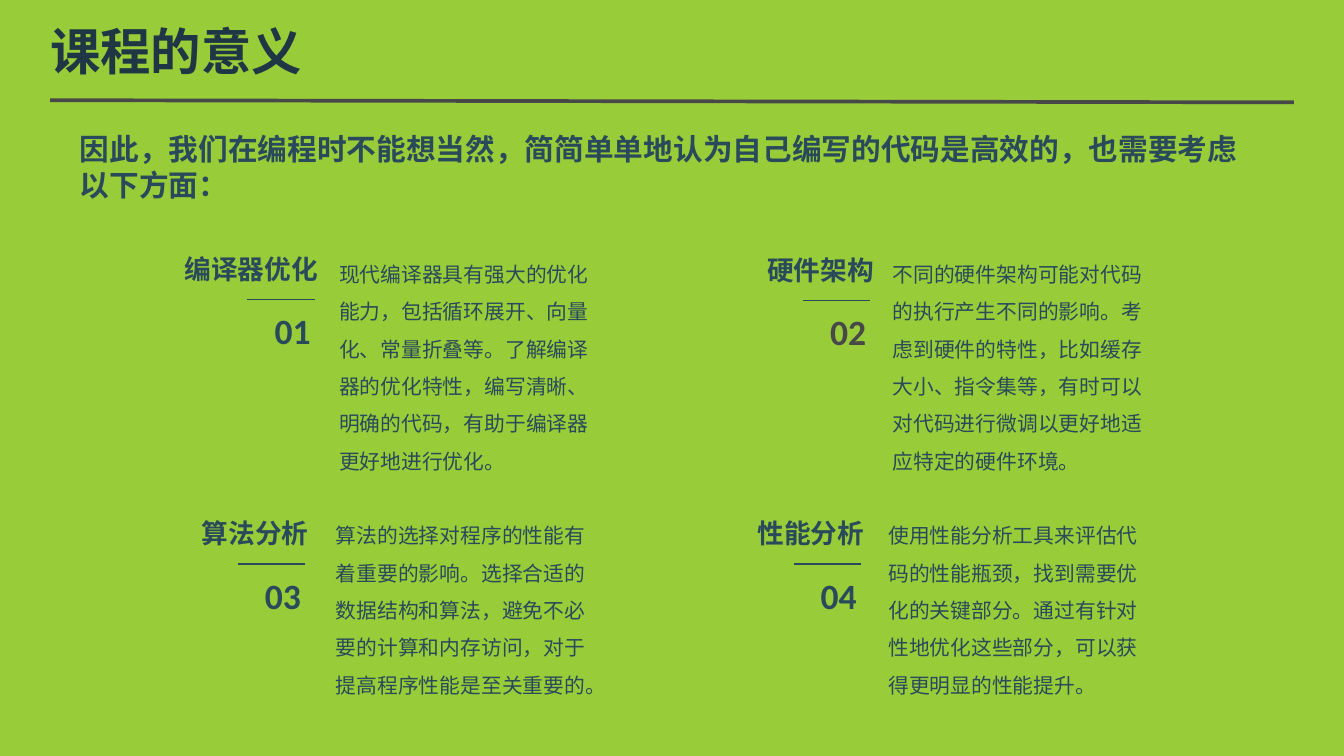
import pptx
import pptx.util
import pptx.dml.color
import pptx.enum.text
import pptx.enum.shapes
import lxml.etree

# Content
TITLE = "课程的意义"
LEAD = "因此，我们在编程时不能想当然，简简单单地认为自己编写的代码是高效的，也需要考虑以下方面："
# Heading, number, number colour, right edge and top of heading, left and top of body, body height, body
TOPICS = [
    ("编译器优化", "01", "294A5A", 308, 232, 308, 229, 218,
     "现代编译器具有强大的优化能力，包括循环展开、向量化、常量折叠等。了解编译器的优化特性，编写清晰、明确的代码，有助于编译器更好地进行优化。"),
    ("硬件架构", "02", "484849", 829, 233, 827, 229, 218,
     "不同的硬件架构可能对代码的执行产生不同的影响。考虑到硬件的特性，比如缓存大小、指令集等，有时可以对代码进行微调以更好地适应特定的硬件环境。"),
    ("算法分析", "03", "294A5A", 299, 480, 305, 474, 182,
     "算法的选择对程序的性能有着重要的影响。选择合适的数据结构和算法，避免不必要的计算和内存访问，对于提高程序性能是至关重要的。"),
    ("性能分析", "04", "294A5A", 820, 480, 823, 474, 182,
     "使用性能分析工具来评估代码的性能瓶颈，找到需要优化的关键部分。通过有针对性地优化这些部分，可以获得更明显的性能提升。"),
]
GREEN, GREY, TEAL, NAVY = "99CC39", "484849", "294A5A", "1F3744"
PX = 9144  # EMU in one px, 100 px to the inch

ALIGN = pptx.enum.text.PP_ALIGN
AUTO = pptx.enum.text.MSO_AUTO_SIZE


def px(length):
    return pptx.util.Emu(length * PX)


def color(value):
    return pptx.dml.color.RGBColor.from_string(value)


def write(shape, text, size, ink=TEAL, font="Calibri", bold=True,
          align=ALIGN.LEFT, spacing=None, wrap=True):
    frame = shape.text_frame
    frame.word_wrap = wrap
    paragraph = frame.paragraphs[0]
    paragraph.alignment = align
    if spacing:
        paragraph.line_spacing = spacing
    run = paragraph.add_run()
    run.text = text
    run.font.name = font
    run.font.size = pptx.util.Pt(size)
    run.font.bold = bold
    run.font.color.rgb = color(ink)
    return frame


def add_text(left, top, width, height, text, size, **style):
    box = slide.shapes.add_textbox(px(left), px(top), px(width), px(height))
    write(box, text, size, **style).auto_size = AUTO.SHAPE_TO_FIT_TEXT


def add_rule(x1, y1, x2, y2, ink, weight):
    rule = slide.shapes.add_connector(
        pptx.enum.shapes.MSO_CONNECTOR.STRAIGHT, px(x1), px(y1), px(x2), px(y2))
    rule.line.color.rgb = color(ink)
    rule.line.width = pptx.util.Pt(weight)
    lxml.etree.SubElement(rule._element.spPr, pptx.oxml.ns.qn("a:effectLst"))


# Slide
deck = pptx.Presentation()
deck.slide_width, deck.slide_height = px(1260), px(709)
slide = deck.slides.add_slide(deck.slide_layouts[5])
slide.background.fill.solid()
slide.background.fill.fore_color.rgb = color(GREEN)

# Title and lead
title = slide.shapes.title
title.left, title.top, title.width, title.height = px(47), px(16), px(1165), px(63)
heading = write(title, TITLE, 34, ink=NAVY, font="Arial")
heading.auto_size = AUTO.NONE
heading.vertical_anchor = pptx.enum.text.MSO_ANCHOR.MIDDLE
heading.margin_left = heading.margin_top = heading.margin_right = heading.margin_bottom = 0
add_rule(47, 94, 1213, 96, GREY, 2.5)
add_text(65, 118, 1124, 77, LEAD, 20, font="Noto Sans CJK SC")

# Topics: right-aligned label column beside a body text
for name, number, ink, right, top, body_left, body_top, body_height, body in TOPICS:
    name_width = 21 + 25 * len(name)
    add_text(right - name_width, top, name_width, 40, name, 18, align=ALIGN.RIGHT, wrap=False)
    add_rule(right - 76, top + 49, right - 13, top + 49, TEAL, 0.75)
    add_text(right - 61, top + 53, 54, 50, number, 24, ink=ink, align=ALIGN.RIGHT, wrap=False)
    add_text(body_left, body_top, 271, body_height, body, 14, bold=False, spacing=1.5)

deck.save("out.pptx")
